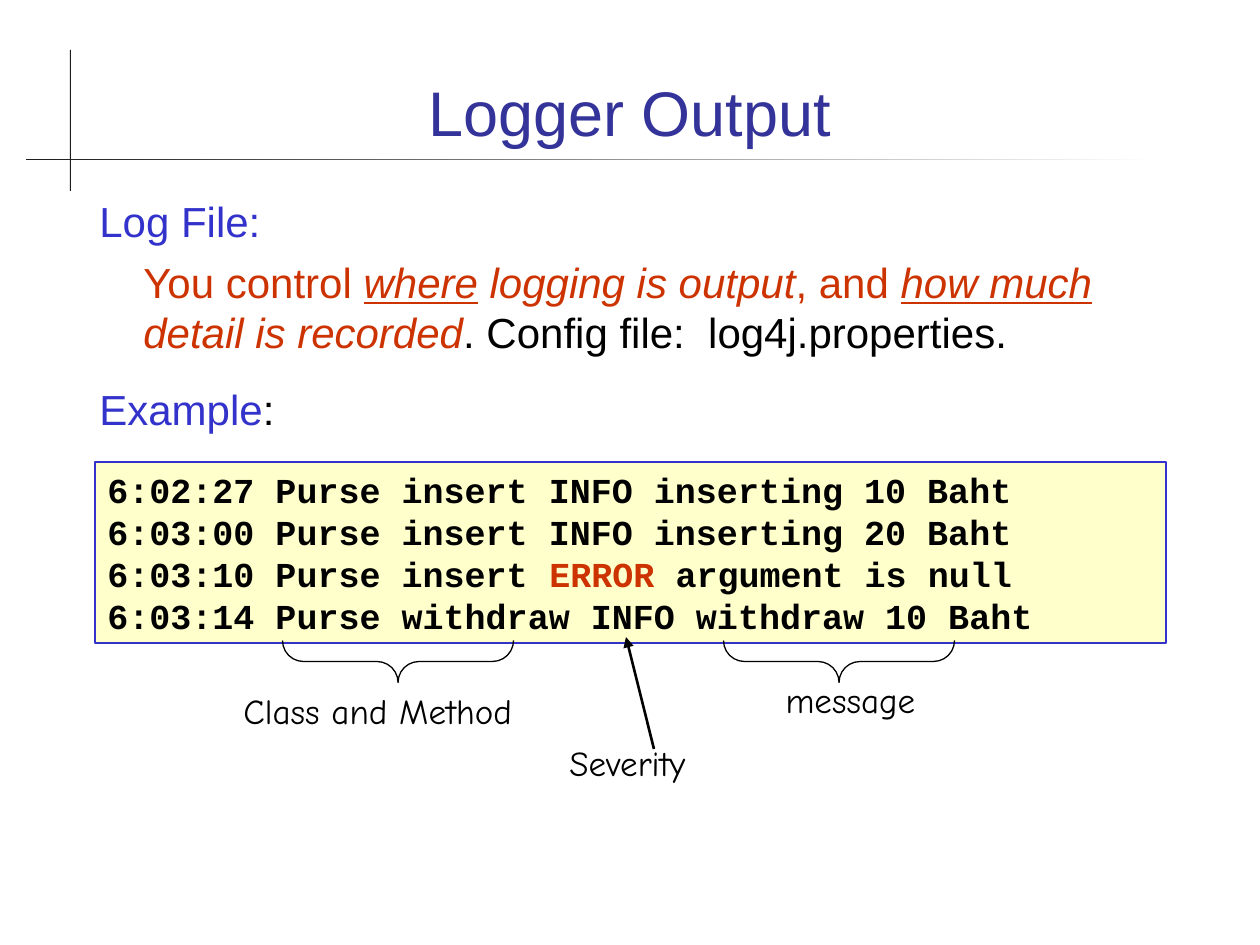
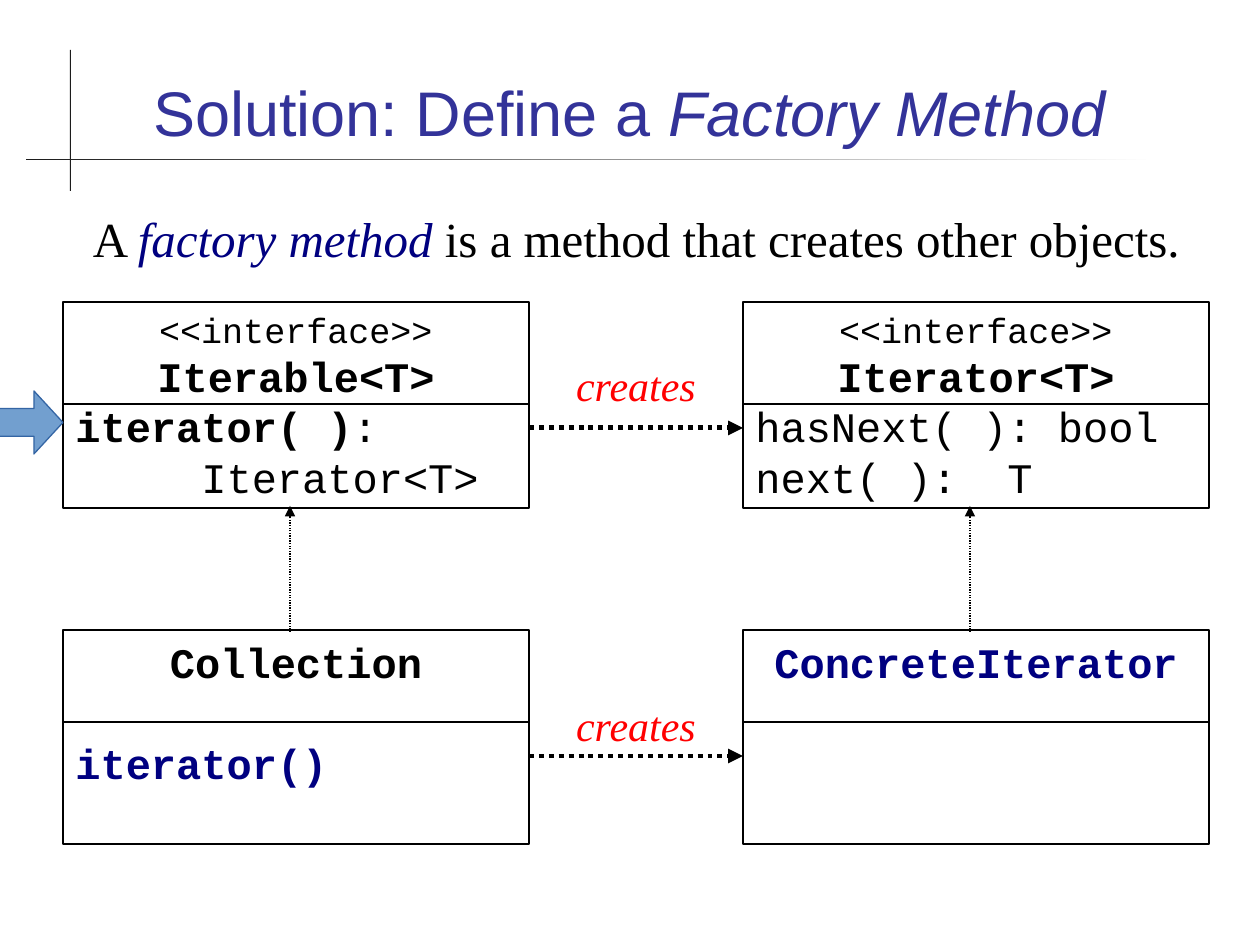
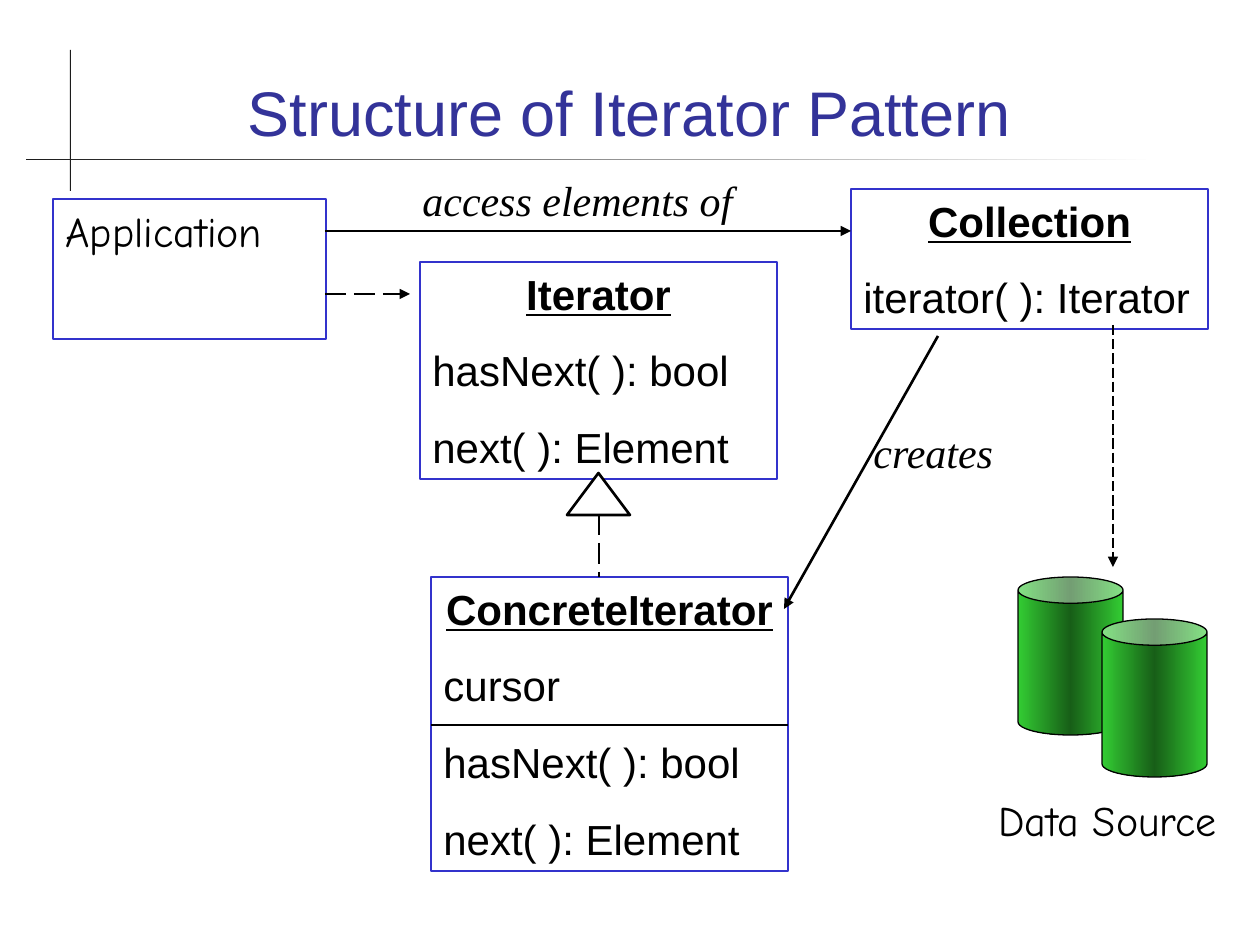
from collections import namedtuple
from copy import deepcopy

from lxml import etree
from pptx import Presentation
from pptx.dml.color import RGBColor
from pptx.enum.dml import MSO_LINE
from pptx.enum.shapes import MSO_CONNECTOR, MSO_SHAPE
from pptx.enum.text import MSO_ANCHOR, PP_ALIGN
from pptx.oxml.ns import qn
from pptx.util import Pt

PX = 914400 / 126  # EMU in one pixel
SLIDE_SIZE = (1260, 945)

INK = RGBColor(0x1C, 0x1C, 0x1C)
BLACK = RGBColor(0x00, 0x00, 0x00)
WHITE = RGBColor(0xFF, 0xFF, 0xFF)
TITLE_BLUE = RGBColor(0x33, 0x33, 0x99)
BLUE = RGBColor(0x33, 0x33, 0xCC)
NAVY = RGBColor(0x00, 0x00, 0x80)
RUST = RGBColor(0xCC, 0x33, 0x00)
RED = RGBColor(0xFF, 0x00, 0x00)
CREAM = RGBColor(0xFF, 0xFF, 0xCC)
GREEN = RGBColor(0x33, 0xCC, 0x33)
DARK_GREEN = RGBColor(0x17, 0x5E, 0x17)
ARROW_FILL = RGBColor(0x72, 0x9F, 0xCF)
ARROW_EDGE = RGBColor(0x34, 0x65, 0xA4)

RECT, CAN = MSO_SHAPE.RECTANGLE, MSO_SHAPE.CAN
TRIANGLE, BRACE = MSO_SHAPE.ISOSCELES_TRIANGLE, MSO_SHAPE.LEFT_BRACE
BLOCK_ARROW = MSO_SHAPE.RIGHT_ARROW
DOTS, DASHES = MSO_LINE.ROUND_DOT, MSO_LINE.LONG_DASH
LEFT, CENTER = PP_ALIGN.LEFT, PP_ALIGN.CENTER
TOP, BOTTOM = MSO_ANCHOR.TOP, MSO_ANCHOR.BOTTOM
STRAIGHT = MSO_CONNECTOR.STRAIGHT

# Text styles; flags are b(old), i(talic), u(nderline)
Style = namedtuple("Style", "font size color flags", defaults=(BLACK, ""))
Para = namedtuple("Para", "spans align before indent", defaults=(LEFT, 0, 0))

TITLE = Style("Arial", 36, TITLE_BLUE)
BODY = Style("Arial", 24)
HEADING = BODY._replace(color=BLUE)
STRESS = BODY._replace(color=RUST)
STRESS_ITALIC = STRESS._replace(flags="i")
STRESS_LINE = STRESS._replace(flags="iu")
CLASS_NAME = BODY._replace(flags="bu")
LOG = Style("Courier New", 20, BLACK, "b")
LOG_ERROR = LOG._replace(color=RUST)
CODE = Style("Courier New", 24)
CODE_BOLD = CODE._replace(flags="b")
CODE_NAVY = CODE_BOLD._replace(color=NAVY)
STEREOTYPE = CODE._replace(size=20)
NOTE = Style("Comic Neue", 20)
NOTE_LARGE = Style("Comic Neue", 24)
SERIF = Style("Times New Roman", 28)
SERIF_NAVY = SERIF._replace(color=NAVY, flags="i")
RELATION = Style("Times New Roman", 24, BLACK, "i")
RELATION_RED = RELATION._replace(color=RED)


def line_of(text, style, align=LEFT, before=0, indent=0):
    return Para([(text, style)], align, before, indent)


# Slide 1 content
LOG_TEXT = [
    Para([("Log File:", HEADING)], before=6, indent=3),
    Para([
        ("You control ", STRESS), ("where", STRESS_LINE),
        (" logging is output", STRESS_ITALIC), (", and ", STRESS),
        ("how much", STRESS_LINE), (" detail is recorded", STRESS_ITALIC),
        (". Config file:  log4j.properties.", BODY),
    ], before=6, indent=47),
    Para([("Example", HEADING), (":", BODY)], before=15, indent=3),
]
LOG_LINES = [
    line_of("6:02:27 Purse insert INFO inserting 10 Baht", LOG),
    line_of("6:03:00 Purse insert INFO inserting 20 Baht", LOG),
    Para([("6:03:10 Purse insert ", LOG), ("ERROR", LOG_ERROR),
          (" argument is null", LOG)]),
    line_of("6:03:14 Purse withdraw INFO withdraw 10 Baht", LOG),
]
LOG_NOTES = [
    ("Class and Method", (231, 683, 315, 55), LEFT),
    ("Severity", (557, 735, 179, 55), LEFT),
    ("message", (693, 672, 315, 55), CENTER),
]
BRACES = [(377, 546, 42, 231), (818, 546, 42, 231)]

# Slide 2 content: columns of class boxes, interface above class
COLUMN_LEFTS, COLUMN_WIDTH = (63, 743), 466
ROWS = [  # top, height, divider y, arrow y, label y
    (302, 206, 404, 428, 353),
    (630, 214, 722, 756, 693),
]
CLASS_TEXTS = [
    [  # interfaces
        [line_of("<<interface>>", STEREOTYPE, CENTER),
         line_of("Iterable<T>", CODE_BOLD, CENTER),
         Para([("iterator( )", CODE_BOLD), (":", CODE)]),
         line_of("Iterator<T>", CODE, indent=126)],
        [line_of("<<interface>>", STEREOTYPE, CENTER),
         line_of("Iterator<T>", CODE_BOLD, CENTER),
         line_of("hasNext( ): bool", CODE),
         line_of("next( ):  T", CODE)],
    ],
    [  # classes
        [line_of("Collection", CODE_BOLD, CENTER),
         line_of("iterator()", CODE_NAVY, before=29)],
        [line_of("ConcreteIterator", CODE_NAVY, CENTER)],
    ],
]
DEFINITION = Para([
    ("A ", SERIF), ("factory method", SERIF_NAVY),
    (" is a method that creates other objects.", SERIF),
], CENTER)

# Slide 3 content: box, class name, members
CLASS_BOXES = [
    ((420, 262, 357, 217), "Iterator", ["hasNext( ): bool", "next( ): Element"]),
    ((431, 577, 357, 294), "ConcreteIterator",
     ["cursor", "hasNext( ): bool", "next( ): Element"]),
    ((851, 189, 357, 140), "Collection", ["iterator( ): Iterator"]),
]
PATTERN_NOTES = [
    ("Data Source", (955, 788, 305, 63), NOTE_LARGE, CENTER),
    ("access elements of", (410, 168, 347, 63), RELATION, LEFT),
    ("creates", (861, 420, 158, 63), RELATION, LEFT),
]
PATTERN_LINES = [  # from, to, width, dash, arrow
    ((599, 514), (599, 577), 1.5, DASHES, False),
    ((431, 725), (788, 725), 0.75, None, False),
    ((325, 231), (851, 231), 1.5, None, True),
    ((325, 294), (410, 294), 1.5, DASHES, True),
    ((938, 336), (784, 609), 1.5, None, True),
    ((1113, 325), (1113, 567), 0.75, DASHES, True),
]
CYLINDERS = [(1018, 577, 105, 158), (1102, 619, 105, 158)]


def emu(lengths):
    return [round(length * PX) for length in lengths]


def add_box(slide, kind, rect, fill=None, edge=None, width=0.75):
    box = slide.shapes.add_shape(kind, *emu(rect))
    box.shadow.inherit = False
    if fill is None:
        box.fill.background()
    else:
        box.fill.solid()
        box.fill.fore_color.rgb = fill
    if edge is None:
        box.line.fill.background()
    else:
        box.line.color.rgb = edge
        box.line.width = Pt(width)
    return box


def set_gradient(box, colors):
    box.fill.gradient()
    box.fill.gradient_angle = 180
    stops = box.element.spPr.find(".//" + qn("a:gsLst"))
    while len(stops) < len(colors):
        stops.append(deepcopy(stops[-1]))
    for index, stop in enumerate(box.fill.gradient_stops):
        stop.position = index / (len(colors) - 1)
        stop.color.rgb = colors[index]


def write(box, paras, anchor=TOP):
    frame = box.text_frame
    frame.word_wrap = True
    frame.vertical_anchor = anchor
    for index, content in enumerate(paras):
        para = frame.add_paragraph() if index else frame.paragraphs[0]
        para.alignment = content.align
        para.line_spacing = 1.0
        para.space_before = Pt(content.before)
        if content.indent:
            para._p.get_or_add_pPr().set("marL", str(round(content.indent * PX)))
        for text, style in content.spans:
            span = para.add_run()
            span.text = text
            span.font.name = style.font
            span.font.size = Pt(style.size)
            span.font.color.rgb = style.color
            span.font.bold = "b" in style.flags
            span.font.italic = "i" in style.flags
            span.font.underline = "u" in style.flags


def add_text(slide, rect, paras, anchor=TOP):
    write(slide.shapes.add_textbox(*emu(rect)), paras, anchor)


def add_line(slide, start, end, width=0.75, dash=None, arrow=False):
    line = slide.shapes.add_connector(STRAIGHT, *emu(start + end))
    line.line.color.rgb = BLACK
    line.line.width = Pt(width)
    if dash is not None:
        line.line.dash_style = dash
    if arrow:
        outline = line.line._get_or_add_ln()
        etree.SubElement(outline, qn("a:tailEnd"), type="triangle")
    etree.SubElement(line.element.spPr, qn("a:effectLst"))


def add_slide(deck, title_spans):
    """Blank slide with the crossed title rules and a title."""
    slide = deck.slides.add_slide(deck.slide_layouts[6])
    add_box(slide, RECT, (70, 50, 1, 141), INK)
    set_gradient(add_box(slide, RECT, (26, 159, 1130, 1), INK), (WHITE, INK))
    add_text(slide, (84, 35, 1091, 120), [Para(title_spans, CENTER)], BOTTOM)
    return slide


def build_logger_output(deck):
    slide = add_slide(deck, [("Logger Output", TITLE)])
    add_text(slide, (84, 189, 1091, 262), LOG_TEXT)
    write(add_box(slide, RECT, (95, 462, 1071, 181), CREAM, BLUE), LOG_LINES)
    for rect in BRACES:
        brace = add_box(slide, BRACE, rect, edge=BLACK)
        brace.adjustments[0] = 0.5
        brace.rotation = 270
    for text, rect, align in LOG_NOTES:
        add_text(slide, rect, [line_of(text, NOTE, align, 12.5)])
    add_line(slide, (654, 749), (626, 637), 1.5, arrow=True)


def build_factory_method(deck):
    slide = add_slide(deck, [("Solution: Define a ", TITLE),
                             ("Factory Method", TITLE._replace(flags="i"))])
    add_text(slide, (76, 202, 1121, 72), [DEFINITION])
    gap_left = COLUMN_LEFTS[0] + COLUMN_WIDTH
    gap_right = COLUMN_LEFTS[1]
    for (top, height, divider, arrow_y, label_y), texts in zip(ROWS, CLASS_TEXTS):
        for left, paras in zip(COLUMN_LEFTS, texts):
            rect = (left, top, COLUMN_WIDTH, height)
            write(add_box(slide, RECT, rect, edge=BLACK), paras)
            add_line(slide, (left, divider), (left + COLUMN_WIDTH, divider))
        add_line(slide, (gap_left, arrow_y), (gap_right, arrow_y), 2.83, DOTS, True)
        add_text(slide, (gap_left, label_y, gap_right - gap_left, 63),
                 [line_of("creates", RELATION_RED, CENTER)])
    # Each class points up to its interface
    for left in COLUMN_LEFTS:
        add_line(slide, (left + 227, 632), (left + 227, 506), dash=DOTS, arrow=True)
    pointer = add_box(slide, BLOCK_ARROW, (-25, 391, 88, 63), ARROW_FILL, ARROW_EDGE)
    pointer.adjustments[0] = 0.44
    pointer.adjustments[1] = 0.46


def build_iterator_pattern(deck):
    slide = add_slide(deck, [("Structure of Iterator Pattern", TITLE)])
    for rect, name, members in CLASS_BOXES:
        paras = [line_of(name, CLASS_NAME, CENTER, 15)]
        paras += [line_of(member, BODY, before=15) for member in members]
        write(add_box(slide, RECT, rect, edge=BLUE), paras)
    write(add_box(slide, RECT, (53, 199, 273, 140), edge=BLUE),
          [line_of("Application", NOTE_LARGE, before=15)])
    add_box(slide, TRIANGLE, (567, 473, 63, 42), WHITE, BLACK, 1.5)
    for rect in CYLINDERS:
        can = add_box(slide, CAN, rect, GREEN, BLACK)
        can.adjustments[0] = 0.25
        set_gradient(can, (GREEN, DARK_GREEN, GREEN))
    for text, rect, style, align in PATTERN_NOTES:
        add_text(slide, rect, [line_of(text, style, align, 15)])
    for line in PATTERN_LINES:
        add_line(slide, *line)


def main():
    deck = Presentation()
    deck.slide_width, deck.slide_height = emu(SLIDE_SIZE)
    build_logger_output(deck)
    build_factory_method(deck)
    build_iterator_pattern(deck)
    deck.save("out.pptx")


if __name__ == "__main__":
    main()
